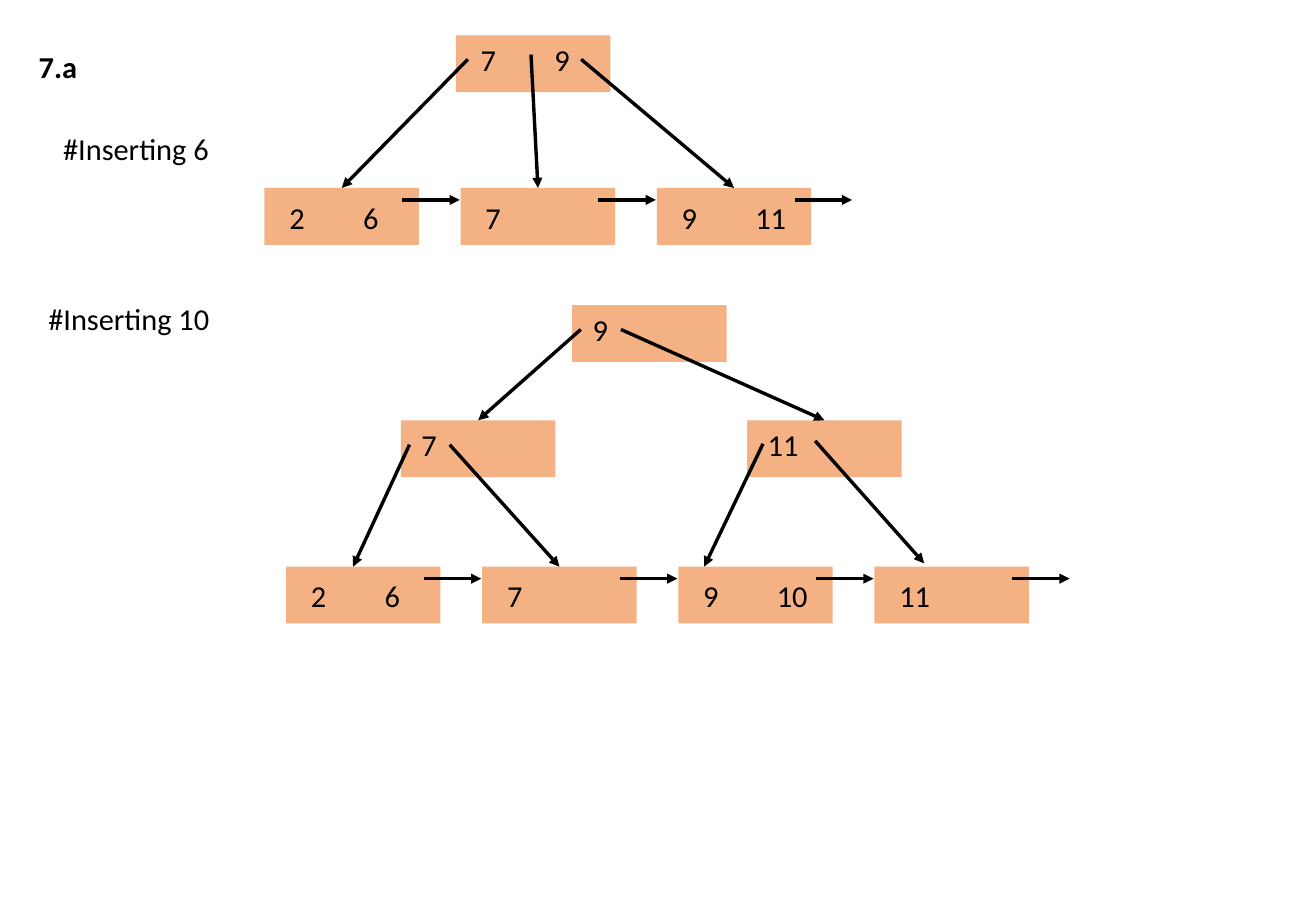
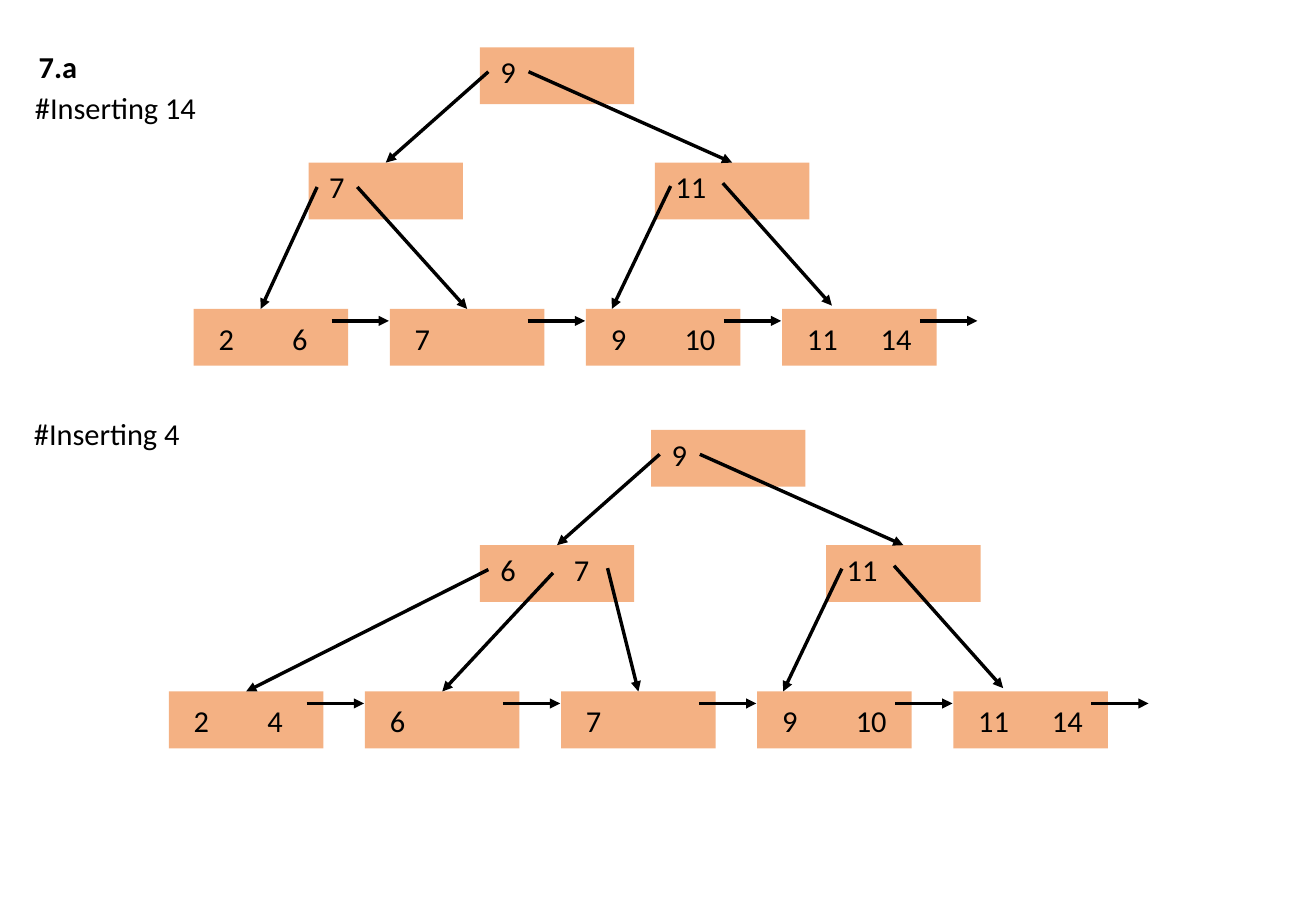
from lxml import etree
from pptx import Presentation
from pptx.dml.color import RGBColor
from pptx.enum.shapes import MSO_CONNECTOR, MSO_SHAPE
from pptx.enum.text import MSO_AUTO_SIZE
from pptx.oxml.ns import qn
from pptx.util import Cm, Pt

RECTANGLE = MSO_SHAPE.RECTANGLE
STRAIGHT = MSO_CONNECTOR.STRAIGHT
FIT_SHAPE = MSO_AUTO_SIZE.SHAPE_TO_FIT_TEXT

# Shared style, lengths in centimetres
FONT, INK, NODE_FILL = "Calibri", "000000", "F4B183"
NODE_WIDTH, NODE_HEIGHT = 3.23, 1.19
TEXT_HEIGHT = 1.02
KEY_STEP, LEAF_PITCH = 1.54, 4.1
KEY_WIDTHS = {1: 0.83, 2: 1.17}
NEXT_X, NEXT_Y, NEXT_LENGTH = 2.88, 0.25, 1.2

# Inner nodes of the three-level trees, measured from the root
INNER_X, INNER_Y = (-3.58, 3.66), 2.41

# Links: parent, start in parent, child, end in child (None: middle of its top)
TWO_LEVEL_LINKS = [
    (0, (0.25, 0.5), 1, None),
    (0, (1.57, 0.4), 2, None),
    (0, (2.62, 0.5), 3, None),
]
ROOT_LINKS = [(0, (0.18, 0.51), 1, None), (0, (1.02, 0.51), 2, None)]
FOUR_LEAF_LINKS = ROOT_LINKS + [
    (1, (0.18, 0.51), 3, (1.4, 0)),
    (1, (1.02, 0.51), 4, None),
    (2, (0.33, 0.49), 5, (0.54, 0)),
    (2, (1.42, 0.43), 6, (1.04, -0.07)),
]
FIVE_LEAF_LINKS = ROOT_LINKS + [
    (1, (0.18, 0.51), 3, None),
    (1, (1.53, 0.58), 4, None),
    (1, (2.67, 0.48), 5, None),
    (2, (0.33, 0.49), 6, (0.54, 0)),
    (2, (1.42, 0.43), 7, (1.04, -0.07)),
]

# Per tree: label, its left, top and width, root corner, root keys, root inset,
# inner keys, leaf keys, last leaf's x and y from the root, links
SLIDES = [
    [
        ("#Inserting 6", (1.07, 2.59, 3.61), (9.53, 0.74), ["7", "9"], 0.27, [],
         [["2", "6"], ["7"], ["9", "11"]], (4.2, 3.19), TWO_LEVEL_LINKS),
        ("#Inserting 10", (0.76, 6.15, 3.91), (11.96, 6.38), ["9"], 0.18, [["7"], ["11"]],
         [["2", "6"], ["7"], ["9", "10"], ["11"]], (6.32, 5.47), FOUR_LEAF_LINKS),
    ],
    [
        ("#Inserting 14", (0.48, 1.73, 3.91), (10.03, 0.99), ["9"], 0.18, [["7"], ["11"]],
         [["2", "6"], ["7"], ["9", "10"], ["11", "14"]], (6.32, 5.47), FOUR_LEAF_LINKS),
        ("#Inserting 4", (0.46, 8.56, 3.61), (13.61, 8.99), ["9"], 0.18, [["6", "7"], ["11"]],
         [["2", "4"], ["6"], ["7"], ["9", "10"], ["11", "14"]], (6.32, 5.47), FIVE_LEAF_LINKS),
    ],
]


def add_text(slide, text, left, top, width, bold=False):
    box = slide.shapes.add_textbox(Cm(left), Cm(top), Cm(width), Cm(TEXT_HEIGHT))
    text_frame = box.text_frame
    text_frame.text = text
    text_frame.word_wrap = False
    text_frame.auto_size = FIT_SHAPE
    font = text_frame.paragraphs[0].runs[0].font
    font.name, font.size, font.bold = FONT, Pt(18), bold
    font.color.rgb = RGBColor.from_string(INK)


def add_arrow(slide, start, end, target=None):
    arrow = slide.shapes.add_connector(
        STRAIGHT, Cm(start[0]), Cm(start[1]), Cm(end[0]), Cm(end[1]))
    if target is not None:
        arrow.end_connect(target, 0)
    arrow.line.width = Pt(2)
    arrow.line.color.rgb = RGBColor.from_string(INK)
    etree.SubElement(arrow.line._get_or_add_ln(), qn("a:tailEnd"), type="triangle")
    etree.SubElement(arrow._element.spPr, qn("a:effectLst"))


presentation = Presentation()
presentation.slide_width, presentation.slide_height = Cm(27.51), Cm(19.05)

for trees in SLIDES:
    slide = presentation.slides.add_slide(presentation.slide_layouts[6])
    add_text(slide, "7.a", 0.56, 0.89, 1.32, bold=True)

    for label, label_place, root, root_keys, root_inset, inner, leaves, last_leaf, links in trees:
        add_text(slide, label, *label_place)

        # Place the nodes level by level: x, y, keys, key inset, key drop
        nodes = [(root[0], root[1], root_keys, root_inset, 0)]
        for x, keys in zip(INNER_X, inner):
            nodes.append((root[0] + x, root[1] + INNER_Y, keys, 0.18, 0))
        first_leaf = len(nodes)
        first_x = root[0] + last_leaf[0] - LEAF_PITCH * (len(leaves) - 1)
        for column, keys in enumerate(leaves):
            nodes.append((first_x + column * LEAF_PITCH, root[1] + last_leaf[1], keys, 0.27, 0.1))

        # Boxes, keys and the arrow from each leaf to the next
        boxes = []
        for index, (x, y, keys, inset, drop) in enumerate(nodes):
            box = slide.shapes.add_shape(
                RECTANGLE, Cm(x), Cm(y), Cm(NODE_WIDTH), Cm(NODE_HEIGHT))
            box.shadow.inherit = False
            box.fill.solid()
            box.fill.fore_color.rgb = RGBColor.from_string(NODE_FILL)
            box.line.fill.background()
            boxes.append(box)
            for position, key in enumerate(keys):
                add_text(slide, key, x + inset + position * KEY_STEP, y + drop,
                         KEY_WIDTHS[len(key)])
            if index >= first_leaf:
                add_arrow(slide, (x + NEXT_X, y + NEXT_Y),
                          (x + NEXT_X + NEXT_LENGTH, y + NEXT_Y))

        # Arrows from parents to children
        for parent, start, child, end in links:
            target = boxes[child] if end is None else None
            end_x, end_y = end or (NODE_WIDTH / 2, 0)
            add_arrow(slide, (nodes[parent][0] + start[0], nodes[parent][1] + start[1]),
                      (nodes[child][0] + end_x, nodes[child][1] + end_y), target)

presentation.save("out.pptx")
